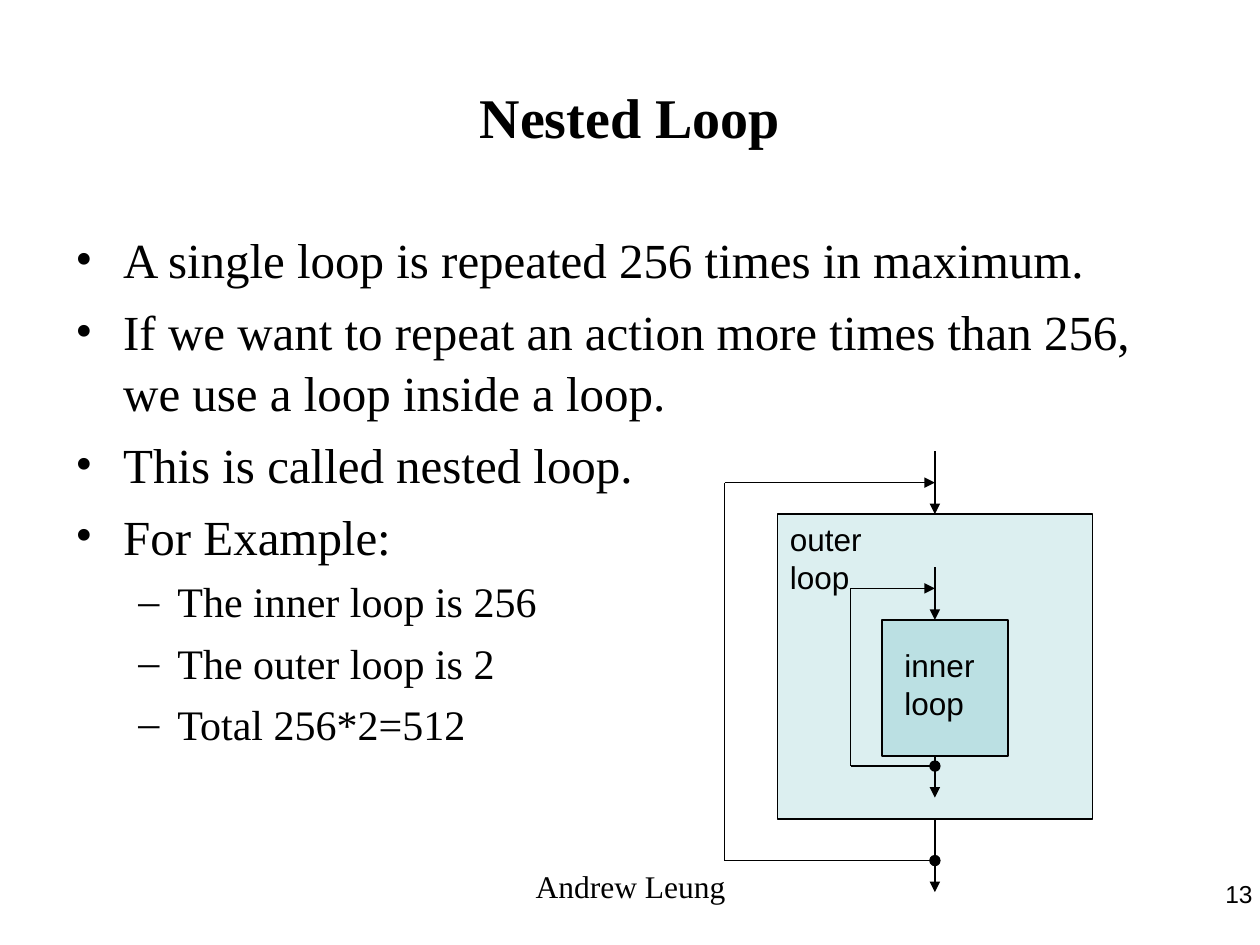
"""Build the nested loop slide with its flow diagram."""
from lxml import etree
from pptx import Presentation
from pptx.dml.color import RGBColor
from pptx.enum import shapes, text
from pptx.oxml import ns
from pptx.util import Inches, Pt

COLORS = {"ink": "000000", "block": "BBE0E3"}
SERIF, SANS = "Times New Roman", "Arial"
AXIS = 7.42
DOT = 0.08
BULLETS = [
    (0, "A single loop is repeated 256 times in maximum."),
    (0, "If we want to repeat an action more times than 256, we use a loop inside a loop."),
    (0, "This is called nested loop."),
    (0, "For Example:"),
    (1, "The inner loop is 256"),
    (1, "The outer loop is 2"),
    (1, "Total 256*2=512"),
]
LEVELS = [("•", 28, 0.38, 0.38), ("–", 24, 0.81, 0.31)]


def color(name):
    return RGBColor.from_string(COLORS[name])


def add_child(parent, tag, **attributes):
    return etree.SubElement(parent, ns.qn(tag), attributes)


def style_para(para, size, font, bold=False, align=text.PP_ALIGN.LEFT):
    para.alignment = align
    for span in para.runs:
        span.font.size = Pt(size)
        span.font.name = font
        span.font.bold = bold
        span.font.color.rgb = color("ink")


def add_box(page, place):
    box = page.shapes.add_textbox(*map(Inches, place))
    box.text_frame.word_wrap = True
    return box.text_frame


def add_label(page, place, words, size, font, **style):
    frame = add_box(page, place)
    frame.text = words
    style_para(frame.paragraphs[0], size, font, **style)
    return frame


def add_bullets(page, place):
    frame = add_box(page, place)
    frame.text = "\n".join(words for level, words in BULLETS)
    for para, (level, words) in zip(frame.paragraphs, BULLETS):
        mark, size, margin, hang = LEVELS[level]
        style_para(para, size, SERIF)
        para.level = level
        para.space_before = Pt(size * 0.2)
        para.line_spacing = 1.05
        properties = para._p.get_or_add_pPr()
        properties.set("marL", str(Inches(margin)))
        properties.set("indent", str(-Inches(hang)))
        add_child(properties, "a:buFont", typeface=SERIF)
        add_child(properties, "a:buChar", char=mark)


def add_solid(page, kind, place, fill, opacity=100):
    shape = page.shapes.add_shape(kind, *map(Inches, place))
    shape.shadow.inherit = False
    shape.fill.solid()
    shape.fill.fore_color.rgb = color(fill)
    shape.line.color.rgb = color("ink")
    shape.line.width = Pt(0.75)
    if opacity < 100:
        tint = shape._element.spPr.find(".//" + ns.qn("a:srgbClr"))
        add_child(tint, "a:alpha", val=str(opacity * 1000))


def add_line(page, start, end, arrow=False):
    line = page.shapes.add_connector(
        shapes.MSO_CONNECTOR.STRAIGHT, *map(Inches, start + end))
    line.line.color.rgb = color("ink")
    line.line.width = Pt(0.75)
    if arrow:
        add_child(line.line._get_or_add_ln(), "a:tailEnd", type="triangle")
    add_child(line._element.spPr, "a:effectLst")


def add_loop(page, left, entry, back, block_top, block_bottom, branch, leave):
    """Draw the way in, the way out and the return path of one loop."""
    add_line(page, (AXIS, entry), (AXIS, block_top), arrow=True)
    add_line(page, (AXIS, block_bottom), (AXIS, leave), arrow=True)
    add_line(page, (AXIS, branch), (left, branch))
    add_line(page, (left, branch), (left, back))
    add_line(page, (left, back), (AXIS, back), arrow=True)
    add_solid(page, shapes.MSO_SHAPE.OVAL,
              (AXIS - DOT / 2, branch - DOT / 2, DOT, DOT), "ink")


def main():
    deck = Presentation()
    deck.slide_width, deck.slide_height = Inches(10), Inches(7.5)
    page = deck.slides.add_slide(deck.slide_layouts[6])
    center = text.PP_ALIGN.CENTER

    title = add_label(page, (0.5, 0.3, 9, 1.25), "Nested Loop", 32, SERIF,
                      bold=True, align=center)
    title.vertical_anchor = text.MSO_ANCHOR.MIDDLE
    add_bullets(page, (0.5, 1.75, 9, 4.95))

    square = shapes.MSO_SHAPE.RECTANGLE
    add_solid(page, square, (6.17, 4.08, 2.5, 2.42), "block", opacity=50)
    add_solid(page, square, (7, 4.92, 1, 1.08), "block")
    add_label(page, (6.17, 4.08, 0.92, 0.7), "outer loop", 18, SANS)
    add_label(page, (7.08, 5.08, 0.92, 0.7), "inner loop", 18, SANS)
    add_loop(page, 5.75, 3.58, 3.83, 4.08, 6.5, 6.83, 7.08)
    add_loop(page, 6.75, 4.5, 4.67, 4.92, 6, 6.08, 6.33)

    add_label(page, (3.42, 6.83, 3.17, 0.52), "Andrew Leung", 18, SERIF,
              align=center)
    add_label(page, (7.71, 6.93, 2.33, 0.52), "13", 14, SANS,
              align=text.PP_ALIGN.RIGHT)
    deck.save("out.pptx")


main()
